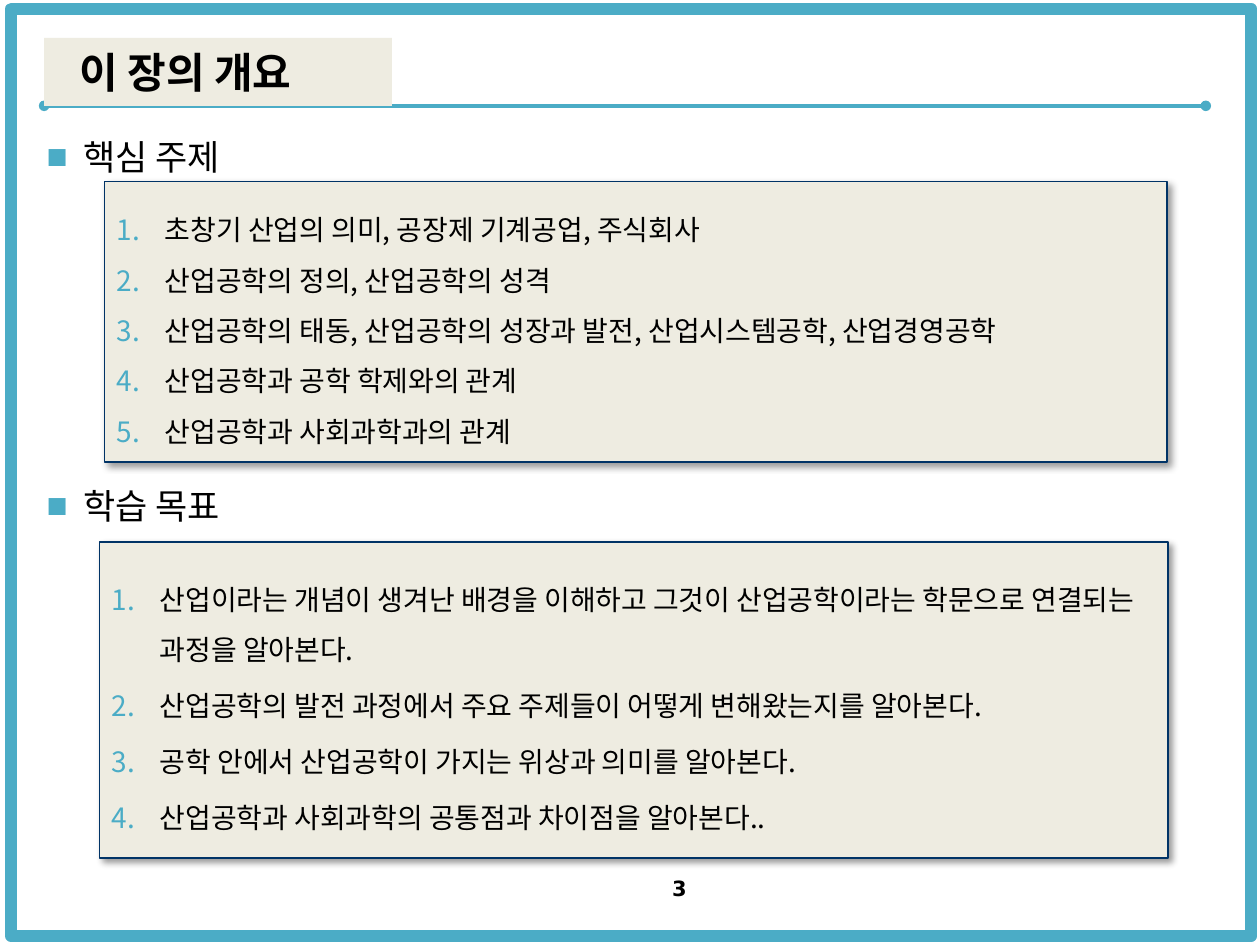
from lxml.etree import SubElement
from pptx import Presentation
from pptx.dml.color import RGBColor
from pptx.enum.shapes import MSO_CONNECTOR, MSO_SHAPE
from pptx.enum.text import MSO_ANCHOR, MSO_AUTO_SIZE, PP_ALIGN
from pptx.oxml import parse_xml
from pptx.oxml.ns import nsdecls, qn
from pptx.util import Inches, Pt

TEAL, CREAM, NAVY, BLACK = "4BACC6", "EEECE1", "003366", "000000"
KOREAN, LATIN = "Noto Sans CJK KR", "DejaVu Sans"

TITLE = "이 장의 개요"
PAGE_NUMBER = "3"
HEADINGS = [("핵심 주제", 4), ("학습 목표", 173)]  # text, space before in points
PANELS = [
    {
        "place": (0.83, 1.44, 8.43, 2.23),
        "space_before": 0,
        "items": [
            "초창기 산업의 의미, 공장제 기계공업, 주식회사",
            "산업공학의 정의, 산업공학의 성격",
            "산업공학의 태동, 산업공학의 성장과 발전, 산업시스템공학, 산업경영공학",
            "산업공학과 공학 학제와의 관계",
            "산업공학과 사회과학과의 관계",
        ],
    },
    {
        "place": (0.79, 4.3, 8.48, 2.51),
        "space_before": 3.2,
        "items": [
            "산업이라는 개념이 생겨난 배경을 이해하고 그것이 산업공학이라는 학문으로 "
            "연결되는 과정을 알아본다.",
            "산업공학의 발전 과정에서 주요 주제들이 어떻게 변해왔는지를 알아본다.",
            "공학 안에서 산업공학이 가지는 위상과 의미를 알아본다.",
            "산업공학과 사회과학의 공통점과 차이점을 알아본다..",
        ],
    },
]


def color(hex_value):
    return RGBColor.from_string(hex_value)


def inches(values):
    return [Inches(value) for value in values]


def set_place(shape, place):
    for name, value in zip(("left", "top", "width", "height"), inches(place)):
        setattr(shape, name, value)


def set_frame(shape, **formats):
    frame = shape.text_frame
    for name, value in ({"word_wrap": True, "auto_size": MSO_AUTO_SIZE.NONE} | formats).items():
        setattr(frame, name, value)
    return frame


def write(para, text, size, font=KOREAN, bold=False, **formats):
    for name, value in formats.items():
        setattr(para, name, value)
    span = para.add_run()
    span.text = text
    for name, value in {"name": font, "size": Pt(size), "bold": bold}.items():
        setattr(span.font, name, value)
    span.font.color.rgb = color(BLACK)
    east_asian = SubElement(span.font._element, qn("a:ea"))
    east_asian.set("typeface", font)


def set_bullet(para, indent, tag, **values):
    """Give the paragraph a hanging indent and a teal bullet or number."""
    properties = para._p.get_or_add_pPr()
    properties.set("marL", str(Inches(indent)))
    properties.set("indent", str(-Inches(indent)))
    bullet_color = SubElement(properties, qn("a:buClr"))
    SubElement(bullet_color, qn("a:srgbClr")).set("val", TEAL)
    bullet = SubElement(properties, qn(tag))
    for name, value in values.items():
        bullet.set(name, value)


def write_list(frame, items, size, line_spacing, bullet):
    for index, (text, space) in enumerate(items):
        para = frame.paragraphs[0] if index == 0 else frame.add_paragraph()
        write(para, text, size, alignment=PP_ALIGN.LEFT,
              line_spacing=line_spacing, space_before=Pt(space))
        set_bullet(para, **bullet)


def add_border(page):
    border = page.shapes.add_shape(MSO_SHAPE.RECTANGLE, *inches((0.09, 0.07, 9.84, 7.36)))
    border.shadow.inherit = False
    border.fill.background()
    border.line.color.rgb = color(TEAL)
    border.line.width = Pt(7)
    return border


def add_title_rule(page):
    rule = page.shapes.add_connector(
        MSO_CONNECTOR.STRAIGHT, *inches((0.35, 0.84, 9.57, 0.84)))
    rule.line.color.rgb = color(TEAL)
    rule.line.width = Pt(2)
    for end in ("a:headEnd", "a:tailEnd"):
        SubElement(rule.line._get_or_add_ln(), qn(end)).set("type", "oval")
    SubElement(rule._element.spPr, qn("a:effectLst"))
    return rule


def add_panel(page, place, space_before, items):
    panel = page.shapes.add_shape(MSO_SHAPE.RECTANGLE, *inches(place))
    panel.fill.solid()
    panel.fill.fore_color.rgb = color(CREAM)
    panel.line.color.rgb = color(NAVY)
    panel.line.width = Pt(1)
    panel._element.spPr.append(parse_xml(
        f'<a:effectLst {nsdecls("a")}><a:outerShdw blurRad="{Pt(4)}" dist="{Pt(3)}" '
        f'dir="2700000" algn="tl" rotWithShape="0"><a:srgbClr val="{BLACK}">'
        '<a:alpha val="40000"/></a:srgbClr></a:outerShdw></a:effectLst>'))
    frame = set_frame(panel, vertical_anchor=MSO_ANCHOR.MIDDLE)
    write_list(frame, [(item, space_before) for item in items], 16, 1.5,
               {"indent": 0.38, "tag": "a:buAutoNum", "type": "arabicPeriod"})


def main():
    deck = Presentation()
    deck.slide_width, deck.slide_height = inches((10, 7.5))
    page = deck.slides.add_slide(deck.slide_layouts[1])
    title, body = page.placeholders

    # The border and the rule lie behind the title.
    for position, shape in enumerate((add_border(page), add_title_rule(page)), start=2):
        page.shapes._spTree.insert(position, shape._element)

    set_place(title, (0.35, 0.3, 2.76, 0.54))
    title.fill.solid()
    title.fill.fore_color.rgb = color(CREAM)
    frame = set_frame(title, vertical_anchor=MSO_ANCHOR.MIDDLE, margin_left=Inches(0.28))
    write(frame.paragraphs[0], TITLE, 24, bold=True, alignment=PP_ALIGN.LEFT)

    set_place(body, (0.27, 0.99, 9.45, 6.22))
    write_list(set_frame(body), HEADINGS, 20, 1.1,
               {"indent": 0.29, "tag": "a:buChar", "char": "■"})

    for panel in PANELS:
        add_panel(page, **panel)

    number = page.shapes.add_textbox(*inches((5.02, 6.9, 0.53, 0.3)))
    write(set_frame(number).paragraphs[0], PAGE_NUMBER, 12, LATIN, True,
          alignment=PP_ALIGN.RIGHT)

    deck.save("out.pptx")


if __name__ == "__main__":
    main()
